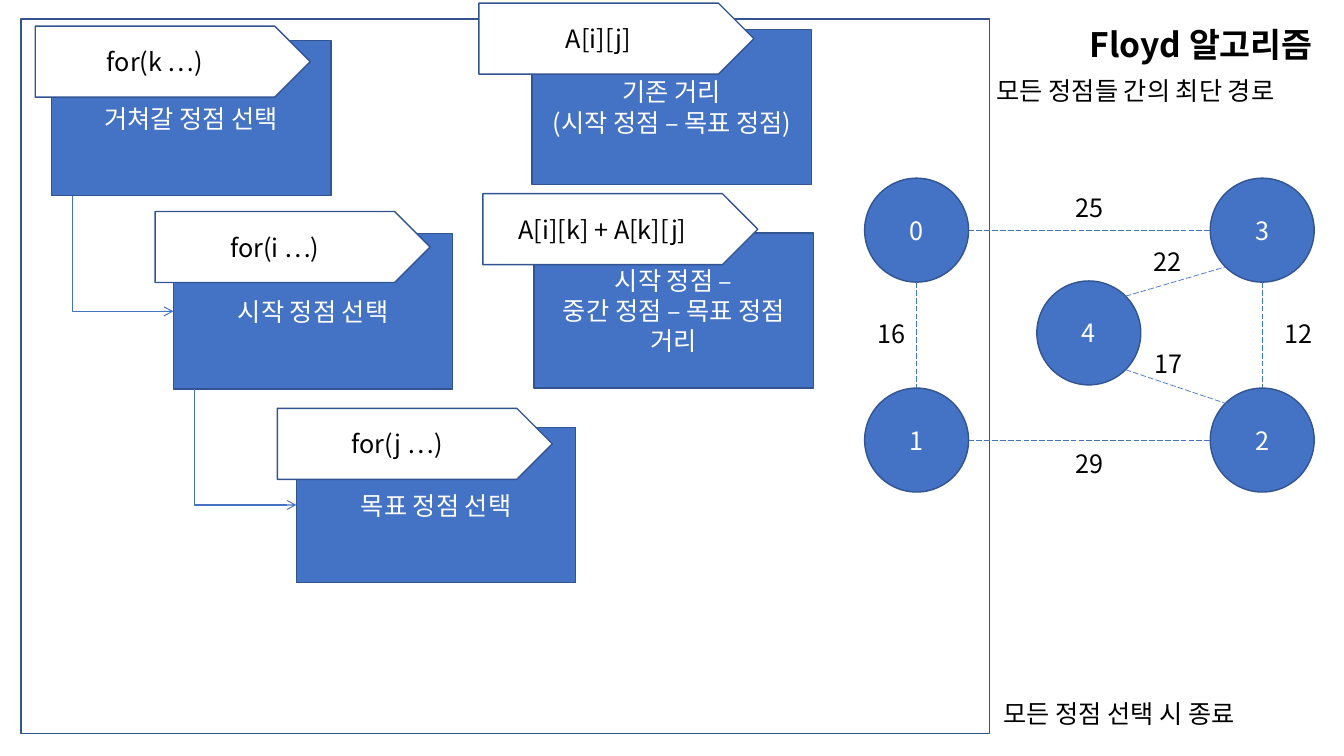
from math import atan2, cos, pi, sin

from pptx import Presentation
from pptx.dml.color import RGBColor
from pptx.enum.dml import MSO_LINE
from pptx.enum.shapes import MSO_CONNECTOR as LINK, MSO_SHAPE as SHAPE
from pptx.enum.text import MSO_ANCHOR as ANCHOR, PP_ALIGN as ALIGN
from pptx.oxml.ns import qn
from pptx.util import Cm, Pt

FONT = "Noto Sans CJK KR"
BLUE = RGBColor(0x44, 0x72, 0xC4)
NAVY = RGBColor(0x32, 0x54, 0x91)
WHITE = RGBColor(0xFF, 0xFF, 0xFF)
BLACK = RGBColor(0, 0, 0)

# Content, all lengths in cm
# Loops: tag, tag corner, step lines, box corner
LOOPS = [
    ("for(k …)", (0.89, 0.66), ["거쳐갈 정점 선택"], (1.3, 1.02)),
    ("for(i …)", (3.91, 5.33), ["시작 정점 선택"], (4.37, 5.89)),
    ("for(j …)", (6.99, 10.29), ["목표 정점 선택"], (7.47, 10.77)),
]
DISTANCES = [
    ("A[i][j]", (12.07, 0.08),
     ["기존 거리", "(시작 정점 – 목표 정점)"], (13.41, 0.74)),
    ("A[i][k] + A[k][j]", (12.17, 4.88),
     ["시작 정점 –", "중간 정점 – 목표 정점", "거리"], (13.46, 5.87)),
]
# Graph: node centres; edges with weight and label corner
NODES = {"0": (23.1, 5.8), "1": (23.1, 11.09), "2": (31.81, 11.09),
         "3": (31.81, 5.8), "4": (27.44, 8.39)}
EDGES = [
    ("0", "1", "16", (21.87, 7.9)),
    ("1", "2", "29", (26.85, 11.18)),
    ("3", "2", "12", (32.11, 7.9)),
    ("4", "3", "22", (28.83, 6.07)),
    ("0", "3", "25", (26.85, 4.72)),
    ("4", "2", "17", (28.85, 8.66)),
]
BOX_W, BOX_H = 7.04, 3.91
TAG_W, TAG_H = 6.93, 1.79
RADIUS = 1.31
LINK_INDENT = 0.53

deck = Presentation()
deck.slide_width, deck.slide_height = Cm(33.87), Cm(19.05)
page = deck.slides.add_slide(deck.slide_layouts[6])


def write(frame, lines, size=18, color=BLACK, bold=False, align=ALIGN.LEFT,
          anchor=ANCHOR.TOP, wrap=True):
    frame.word_wrap = wrap
    frame.vertical_anchor = anchor
    for number, line in enumerate(lines):
        para = frame.add_paragraph() if number else frame.paragraphs[0]
        para.alignment = align
        span = para.add_run()
        span.text = line
        font = span.font
        font.name, font.size, font.bold = FONT, Pt(size), bold
        font.color.rgb = color
        latin = font._element.find(qn("a:latin"))
        east = latin.makeelement(qn("a:ea"), {"typeface": FONT})
        latin.addnext(east)


def add_label(text, x, y, width, height=1.02, **style):
    box = page.shapes.add_textbox(Cm(x), Cm(y), Cm(width), Cm(height))
    write(box.text_frame, [text], **style)


def add_figure(kind, x, y, width, height, lines=(), fill=BLUE, color=WHITE):
    figure = page.shapes.add_shape(kind, Cm(x), Cm(y), Cm(width), Cm(height))
    figure.shadow.inherit = False
    if fill is None:
        figure.fill.background()
    else:
        figure.fill.solid()
        figure.fill.fore_color.rgb = fill
    figure.line.color.rgb = NAVY
    figure.line.width = Pt(1)
    write(figure.text_frame, lines, color=color, align=ALIGN.CENTER,
          anchor=ANCHOR.MIDDLE)
    return figure


def add_link(kind, start, end, width):
    link = page.shapes.add_connector(kind, *map(Cm, start + end))
    link.line.color.rgb = BLUE
    link.line.width = Pt(width)
    properties = link._element.spPr
    properties.append(properties.makeelement(qn("a:effectLst"), {}))
    return link


def add_step(tag, tag_corner, lines, box_corner):
    add_figure(SHAPE.FLOWCHART_PROCESS, *box_corner, BOX_W, BOX_H, lines)
    arrow = add_figure(SHAPE.RIGHT_ARROW, *tag_corner, TAG_W, TAG_H, [tag],
                       fill=WHITE, color=BLACK)
    arrow.adjustments[0] = 1
    arrow.adjustments[1] = 0.5


def add_bend(start, end):
    """Arrow that runs down, then right: a one-bend elbow turned by 270 degrees."""
    (x1, y1), (x2, y2) = start, end
    middle_x, middle_y = (x1 + x2) / 2, (y1 + y2) / 2
    half_w, half_h = (y2 - y1) / 2, (x2 - x1) / 2
    link = add_link(LINK.ELBOW, (middle_x - half_w, middle_y - half_h),
                    (middle_x + half_w, middle_y + half_h), 0.75)
    properties = link._element.spPr
    properties.find(qn("a:prstGeom")).set("prst", "bentConnector2")
    turn = properties.find(qn("a:xfrm"))
    turn.set("rot", str(270 * 60000))
    turn.set("flipH", "1")
    outline = properties.find(qn("a:ln"))
    outline.append(outline.makeelement(qn("a:tailEnd"), {"type": "arrow"}))


# Frame and headings
add_figure(SHAPE.FLOWCHART_PROCESS, 0.53, 0.48, 24.41, 18.01, fill=None)
add_label("Floyd 알고리즘", 25.35, 0.48, 7.98, 1.27, size=24, bold=True,
          align=ALIGN.RIGHT)
add_label("모든 정점들 간의 최단 경로", 24.87, 1.78, 8.48, wrap=False)
add_label("모든 정점 선택 시 종료", 25.04, 17.48, 7.42, wrap=False)

# Graph: circles, and edges that meet them at the nearest eighth of a turn
for name, (x, y) in NODES.items():
    add_figure(SHAPE.OVAL, x - RADIUS, y - RADIUS, 2 * RADIUS, 2 * RADIUS, [name])
for first, second, weight, corner in EDGES:
    (x1, y1), (x2, y2) = NODES[first], NODES[second]
    angle = round(atan2(y2 - y1, x2 - x1) / (pi / 4)) * pi / 4
    dx, dy = RADIUS * cos(angle), RADIUS * sin(angle)
    edge = add_link(LINK.STRAIGHT, (x1 + dx, y1 + dy), (x2 - dx, y2 - dy), 0.5)
    edge.line.dash_style = MSO_LINE.LONG_DASH
    add_label(weight, *corner, 1.22, wrap=False)

# Steps, and arrows from each loop to the one nested in it
for step in LOOPS + DISTANCES:
    add_step(*step)
for outer, inner in zip(LOOPS, LOOPS[1:]):
    (x1, y1), (x2, y2) = outer[-1], inner[-1]
    add_bend((x1 + LINK_INDENT, y1 + BOX_H), (x2, y2 + BOX_H / 2))

deck.save("out.pptx")
